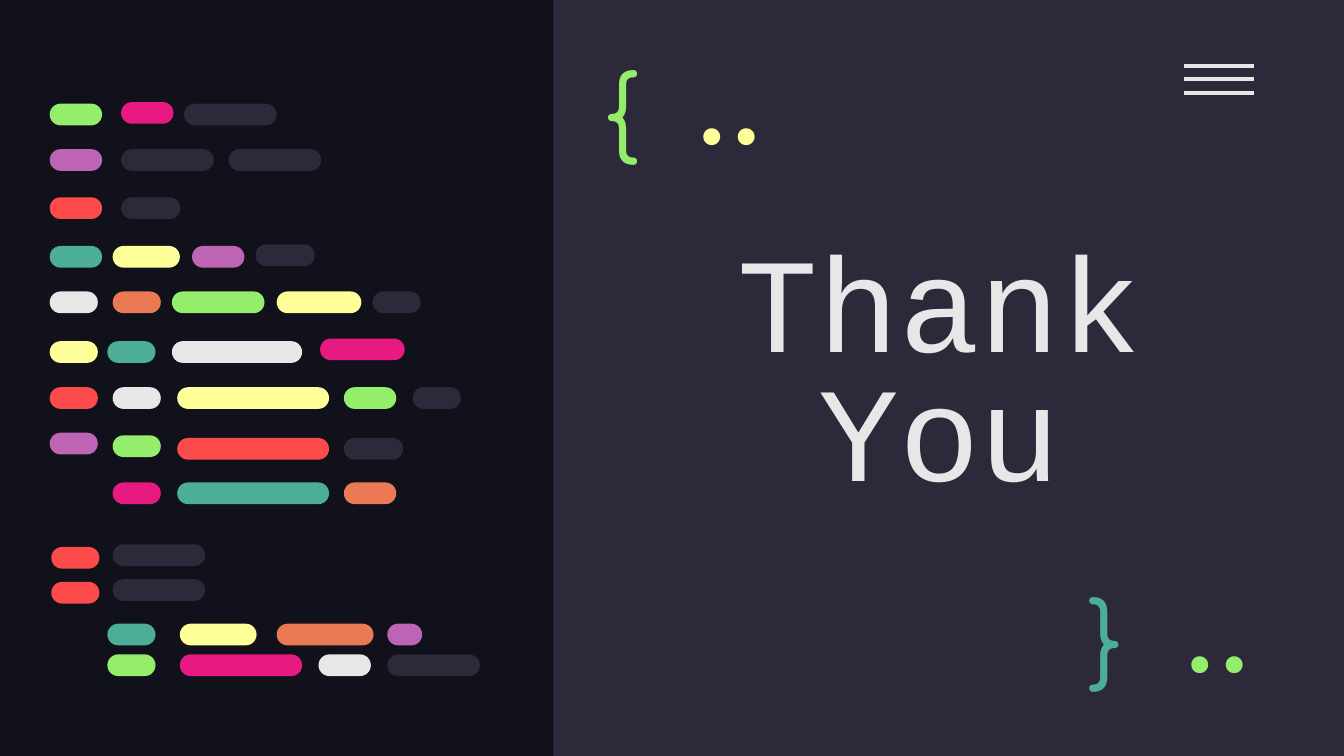
from lxml.etree import SubElement
from pptx import Presentation
from pptx.dml.color import RGBColor
from pptx.enum.shapes import MSO_CONNECTOR, MSO_SHAPE
from pptx.enum.text import MSO_ANCHOR, MSO_AUTO_SIZE, PP_ALIGN
from pptx.oxml.ns import qn
from pptx.util import Cm, Pt

NIGHT, SLATE, WHITE = "10111A", "2C293A", "E7E7E7"
GREEN, PINK, PURPLE, RED = "94EE6B", "E81A81", "BD64B5", "FD4A4A"
TEAL, YELLOW, ORANGE = "4CAE97", "FFFF99", "EC7955"
PILL_HEIGHT = 0.41


def add_filled_shape(kind, left, top, width, height, color):
    shape = slide.shapes.add_shape(kind, Cm(left), Cm(top), Cm(width), Cm(height))
    shape.shadow.inherit = False
    shape.fill.solid()
    shape.fill.fore_color.rgb = RGBColor.from_string(color)
    shape.line.fill.background()
    return shape


def format_text(shape, text, font, size, color, anchor, alignment):
    """Set the text of a shape and format its frame, paragraphs and runs."""
    frame = shape.text_frame
    frame.text = text
    frame.word_wrap = True
    frame.auto_size = MSO_AUTO_SIZE.NONE
    frame.vertical_anchor = anchor
    frame.margin_left = frame.margin_right = Cm(0.25)
    frame.margin_top = frame.margin_bottom = Cm(0.25)
    for paragraph in frame.paragraphs:
        paragraph.alignment = alignment
        for run in paragraph.runs:
            run.font.name = font
            run.font.size = Pt(size)
            run.font.color.rgb = RGBColor.from_string(color)


presentation = Presentation()
presentation.slide_width = Cm(25.4)
presentation.slide_height = Cm(14.29)
slide = presentation.slides.add_slide(presentation.slide_layouts[5])
slide.background.fill.solid()
slide.background.fill.fore_color.rgb = RGBColor.from_string(NIGHT)

# Right panel with its menu icon
panel = add_filled_shape(MSO_SHAPE.RECTANGLE, 10.46, 0, 14.94, 14.29, SLATE)
for row in range(3):
    y = Cm(1.24 + 0.26 * row)
    menu_line = slide.shapes.add_connector(
        MSO_CONNECTOR.STRAIGHT, Cm(22.38), y, Cm(23.7), y)
    menu_line.line.color.rgb = RGBColor.from_string(WHITE)
    menu_line.line.width = Pt(2.25)
    SubElement(menu_line._element.spPr, qn("a:effectLst"))

# Title, brought in front of the panel
title = slide.shapes.title
title.left, title.top, title.width, title.height = Cm(12.09), Cm(3.63), Cm(11.33), Cm(7.04)
format_text(title, "Thank\nYou", "Courier New", 72, WHITE,
            MSO_ANCHOR.MIDDLE, PP_ALIGN.CENTER)
for paragraph in title.text_frame.paragraphs:
    paragraph.line_spacing = 0.8
slide.shapes._spTree.append(title._element)

# Code pills by colour: left, top, width
pills = {
    GREEN: [(0.94, 1.96, 0.99), (2.13, 8.23, 0.91), (3.25, 5.51, 1.75),
            (6.5, 7.32, 0.99), (2.03, 12.37, 0.91)],
    PINK: [(2.29, 1.93, 0.99), (2.13, 9.12, 0.91), (6.05, 6.4, 1.6),
           (3.4, 12.37, 2.31)],
    PURPLE: [(0.94, 2.82, 0.99), (3.63, 4.65, 0.99), (0.94, 8.18, 0.91),
             (7.32, 11.79, 0.66)],
    RED: [(0.94, 3.73, 0.99), (0.94, 7.32, 0.91), (3.35, 8.28, 2.87),
          (0.97, 10.34, 0.91), (0.97, 11, 0.91)],
    TEAL: [(0.94, 4.65, 0.99), (2.03, 6.45, 0.91), (3.35, 9.12, 2.87),
           (2.03, 11.79, 0.91)],
    YELLOW: [(2.13, 4.65, 1.27), (0.94, 6.45, 0.91), (3.35, 7.32, 2.87),
             (5.23, 5.51, 1.6), (3.4, 11.79, 1.45)],
    WHITE: [(0.94, 5.51, 0.91), (2.13, 7.32, 0.91), (3.25, 6.45, 2.46),
            (6.02, 12.37, 0.99)],
    ORANGE: [(2.13, 5.51, 0.91), (6.5, 9.12, 0.99), (5.23, 11.79, 1.83)],
    SLATE: [(3.48, 1.96, 1.75), (2.29, 2.82, 1.75), (4.32, 2.82, 1.75),
            (2.29, 3.73, 1.12), (4.83, 4.62, 1.12), (6.5, 8.28, 1.12),
            (7.04, 5.51, 0.91), (7.8, 7.32, 0.91), (7.32, 12.37, 1.75),
            (2.13, 10.95, 1.75), (2.13, 10.29, 1.75)],
}
for color, places in pills.items():
    for left, top, width in places:
        pill = add_filled_shape(
            MSO_SHAPE.ROUNDED_RECTANGLE, left, top, width, PILL_HEIGHT, color)
        pill.adjustments[0] = 0.5

# Braces and dots
symbols = [
    ("{", "Comfortaa", GREEN, MSO_ANCHOR.TOP, PP_ALIGN.LEFT, 11.15, 0.69, 1.96, 2.41),
    ("}", "Comfortaa", TEAL, MSO_ANCHOR.TOP, PP_ALIGN.LEFT, 20.32, 10.67, 1.45, 2.11),
    ("..", "Fira Code", GREEN, MSO_ANCHOR.MIDDLE, PP_ALIGN.RIGHT, 21.62, 11.25, 2.72, 1.52),
    ("..", "Fira Code", YELLOW, MSO_ANCHOR.MIDDLE, PP_ALIGN.RIGHT, 12.4, 1.27, 2.72, 1.52),
]
for text, font, color, anchor, alignment, left, top, width, height in symbols:
    symbol = slide.shapes.add_textbox(Cm(left), Cm(top), Cm(width), Cm(height))
    format_text(symbol, text, font, 50, color, anchor, alignment)

presentation.save("out.pptx")
